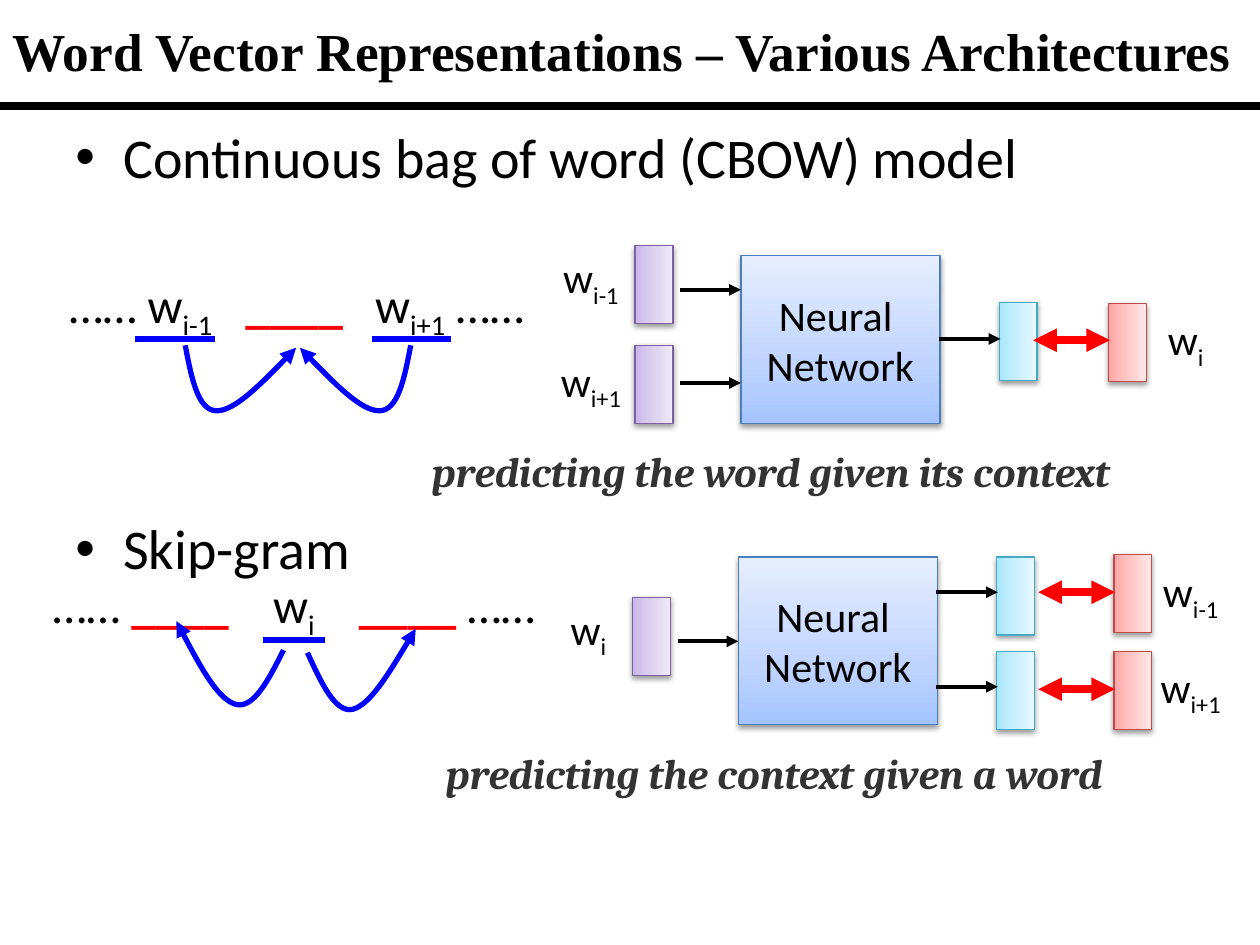
import dataclasses
import pptx
import pptx.util
import pptx.dml.color
import pptx.enum.shapes
import pptx.enum.text
import pptx.oxml.ns
from lxml import etree
from pptx.util import Inches

qn = pptx.oxml.ns.qn
Align = pptx.enum.text.PP_ALIGN
Kind = pptx.enum.shapes.MSO_SHAPE


@dataclasses.dataclass(frozen=True)
class Theme:
    black: str = "000000"
    red: str = "FF0000"
    blue: str = "0000FF"
    grey: str = "333333"
    # Each fill: three gradient stops, then the outline
    net: tuple = ("A4C4FF", "BFD4FF", "E6EEFF", "4B7EBC")
    purple: tuple = ("C9B5E8", "D8CBEE", "F0EAF9", "7D60A0")
    cyan: tuple = ("A7E6FF", "C1EDFF", "E7F8FF", "46AAC5")
    pink: tuple = ("FFA6A5", "FFC0BF", "FFE7E7", "BF4C48")
    title: float = 30.5
    head: int = 32
    words: int = 28
    label: int = 24
    body: str = "Calibri"


T = Theme()


def rgb(code):
    return pptx.dml.color.RGBColor.from_string(code)


def add(parent, tag, **attrs):
    return etree.SubElement(parent, qn(tag), {k: str(v) for k, v in attrs.items()})


def write(para, text, size=T.label, font=T.body, color=T.black,
          bold=False, italic=False, sub=False):
    run = para.add_run()
    run.text = text
    face = run.font
    face.size, face.name = pptx.util.Pt(size), font
    face.bold, face.italic = bold, italic
    face.color.rgb = rgb(color)
    if sub:
        face._element.set("baseline", "-25000")


def text_box(slide, x, y, w, h, align=Align.LEFT, wrap=True):
    """Add a text box and return its first paragraph."""
    frame = slide.shapes.add_textbox(*map(Inches, (x, y, w, h))).text_frame
    frame.word_wrap = wrap
    frame.paragraphs[0].alignment = align
    return frame.paragraphs[0]


def stroke(shape, color, width, head=False, tail=False):
    shape.line.color.rgb = rgb(color)
    shape.line.width = pptx.util.Pt(width)
    ln = shape._element.spPr.find(qn("a:ln"))
    if head:
        add(ln, "a:headEnd", type="triangle")
    if tail:
        add(ln, "a:tailEnd", type="triangle")


def line(slide, x1, x2, y, color=T.black, width=2.25, **ends):
    """Draw a level line from x1 to x2."""
    item = slide.shapes.add_connector(
        pptx.enum.shapes.MSO_CONNECTOR.STRAIGHT, *map(Inches, (x1, y, x2, y)))
    stroke(item, color, width, **ends)
    add(item._element.spPr, "a:effectLst")


def curve(slide, points):
    """Draw a blue arrow through cubic Bezier points."""
    spots = [(Inches(x), Inches(y)) for x, y in points]
    pen = slide.shapes.build_freeform(*spots[0])
    pen.add_line_segments(spots[1:], close=False)
    item = pen.convert_to_shape()
    item.shadow.inherit = False
    item.fill.background()
    stroke(item, T.blue, 3, tail=True)
    legs = list(item._element.spPr.iter(qn("a:lnTo")))
    route = legs[0].getparent()
    for i in range(0, len(legs), 3):
        bend = add(route, "a:cubicBezTo")
        for leg in legs[i:i + 3]:
            bend.append(leg[0])
            route.remove(leg)


def block(slide, x, y, w, h, tones):
    """Add a rectangle with gradient and soft shadow."""
    item = slide.shapes.add_shape(Kind.RECTANGLE, *map(Inches, (x, y, w, h)))
    item.fill.gradient()
    item.fill.gradient_angle = 90
    props = item._element.spPr
    stops = props.find(".//" + qn("a:gsLst"))
    for old in list(stops):
        stops.remove(old)
    for pos, tone in zip((0, 35000, 100000), tones):
        add(add(stops, "a:gs", pos=pos), "a:srgbClr", val=tone)
    stroke(item, tones[3], 0.75)
    item.shadow.inherit = False
    shade = add(props.find(qn("a:effectLst")), "a:outerShdw", blurRad=40000,
                dist=20000, dir=5400000, rotWithShape=0)
    add(add(shade, "a:srgbClr", val=T.black), "a:alpha", val=38000)
    return item


def bar(slide, x, y, tones):
    """Add an upright vector bar centred on x, y."""
    w, h = 0.62, 0.3
    block(slide, x - w / 2, y - h / 2, w, h, tones).rotation = 90


def label(slide, x, y, index):
    para = text_box(slide, x, y, 0.78, 0.5, Align.CENTER)
    write(para, "w")
    write(para, index, sub=True)


def network(slide, x, y, ins, outs, gap=0):
    """Draw a network; rows hold index and heights of bars, arrows and label."""
    net = block(slide, x, y, 1.58, 1.33, T.net)
    frame = net.text_frame
    frame.vertical_anchor = pptx.enum.text.MSO_ANCHOR.MIDDLE
    for para, text in ((frame.paragraphs[0], "Neural "),
                       (frame.add_paragraph(), "Network")):
        para.alignment = Align.CENTER
        write(para, text)
    for index, mid, flow, top in ins:
        bar(slide, x - 0.69, y + mid, T.purple)
        line(slide, x - 0.48, x, y + flow, tail=True)
        label(slide, x - 1.58, y + top, index)
    for index, mid, aim, flow, match, top in outs:
        bar(slide, x + 2.2, y + mid, T.cyan)
        bar(slide, x + 3.07 + gap, y + aim, T.pink)
        line(slide, x + 1.57, x + 2.06, y + flow, tail=True)
        line(slide, x + 2.32 + gap, x + 2.93 + gap, y + match,
             T.red, 4.5, head=True, tail=True)
        label(slide, x + 3.14 + gap, y + top, index)


def words(slide, x, y, parts, stops, marks):
    """Set a word sequence and underline its words."""
    para = text_box(slide, x, y, 4.2, 0.57)
    tabs = add(para._p.get_or_add_pPr(), "a:tabLst")
    for stop in stops:
        add(tabs, "a:tab", pos=Inches(stop), algn="l")
    for text, style in parts:
        write(para, text, size=T.words, **style)
    for start, end, drop in marks:
        line(slide, x + start, x + end, y + drop, T.blue, 3)


def arrows(slide, x, y, *curves):
    for points in curves:
        curve(slide, [(x + dx, y + dy) for dx, dy in points])


def heading(slide, x, y, text):
    para = text_box(slide, x, y, 9, 0.64)
    props = para._p.get_or_add_pPr()
    props.set("marL", str(Inches(0.38)))
    props.set("indent", str(-Inches(0.38)))
    add(props, "a:buFont", typeface="Arial")
    add(props, "a:buChar", char="•")
    write(para, text, size=T.head)


def caption(slide, x, y, w, text):
    write(text_box(slide, x, y, w, 0.5, wrap=False), text, font="Cambria",
          color=T.grey, bold=True, italic=True)


def banner(slide, x, y, w, h):
    line(slide, x, x + w, y + 0.84, width=4.5)
    para = text_box(slide, x, y, w, h)
    para._parent.vertical_anchor = pptx.enum.text.MSO_ANCHOR.MIDDLE
    write(para, "Word Vector Representations – Various Architectures",
          size=T.title, font="Times New Roman", bold=True)


PLAIN, LOW, BLANK = {}, {"sub": True}, {"color": T.red, "bold": True}


def cbow(slide, x, y):
    heading(slide, x, y, "Continuous bag of word (CBOW) model")
    words(slide, x - 0.05, y + 1.21,
          [("…… w", PLAIN), ("i-1", LOW), ("\t", PLAIN), ("____", BLANK),
           ("\tw", PLAIN), ("i+1", LOW), (" ……", PLAIN)],
          (1.4, 2.43), ((0.62, 1.26, 0.56), (2.5, 3.13, 0.56)))
    left = [(0.97, 1.82), (1.02, 2.08), (1.07, 2.34), (1.22, 2.34),
            (1.36, 2.34), (1.61, 2.09), (1.85, 1.84)]
    arrows(slide, x, y, left, [(3.73 - dx, dy) for dx, dy in left])
    network(slide, x + 5.38, y + 1.11,
            [("i-1", 0.23, 0.27, -0.08), ("i+1", 1.02, 1.01, 0.74)],
            [("i", 0.68, 0.69, 0.66, 0.67, 0.41)])
    caption(slide, x + 2.83, y + 2.57, 6.64, "predicting the word given its context")


def skip(slide, x, y):
    heading(slide, x, y, "Skip-gram")
    words(slide, x - 0.18, y + 0.48,
          [("…… ", PLAIN), ("____", BLANK), ("\tw", PLAIN), ("i", LOW),
           ("\t", PLAIN), ("____", BLANK), (" ……", PLAIN)],
          (1.75, 2.43), ((1.77, 2.26, 0.57),))
    arrows(slide, x, y,
           [(1.75, 1.13), (1.63, 1.37), (1.51, 1.6), (1.37, 1.56),
            (1.23, 1.52), (1.06, 1.21), (0.9, 0.9)],
           [(1.94, 1.15), (2.05, 1.39), (2.16, 1.63), (2.3, 1.6),
            (2.44, 1.56), (2.62, 1.26), (2.8, 0.96)])
    network(slide, x + 5.36, y + 0.39, [("i", 0.63, 0.67, 0.32)],
            [("i-1", 0.31, 0.29, 0.28, 0.28, 0.02),
             ("i+1", 1.06, 1.06, 1.03, 1.05, 0.78)], gap=0.06)
    caption(slide, x + 2.94, y + 1.85, 6.43, "predicting the context given a word")


def main():
    deck = pptx.Presentation()
    deck.slide_width, deck.slide_height = Inches(10), Inches(7.5)
    slide = deck.slides.add_slide(deck.slide_layouts[6])
    banner(slide, 0, 0, 10, 0.79)
    cbow(slide, 0.5, 0.92)
    skip(slide, 0.5, 4.03)
    deck.save("out.pptx")


if __name__ == "__main__":
    main()
